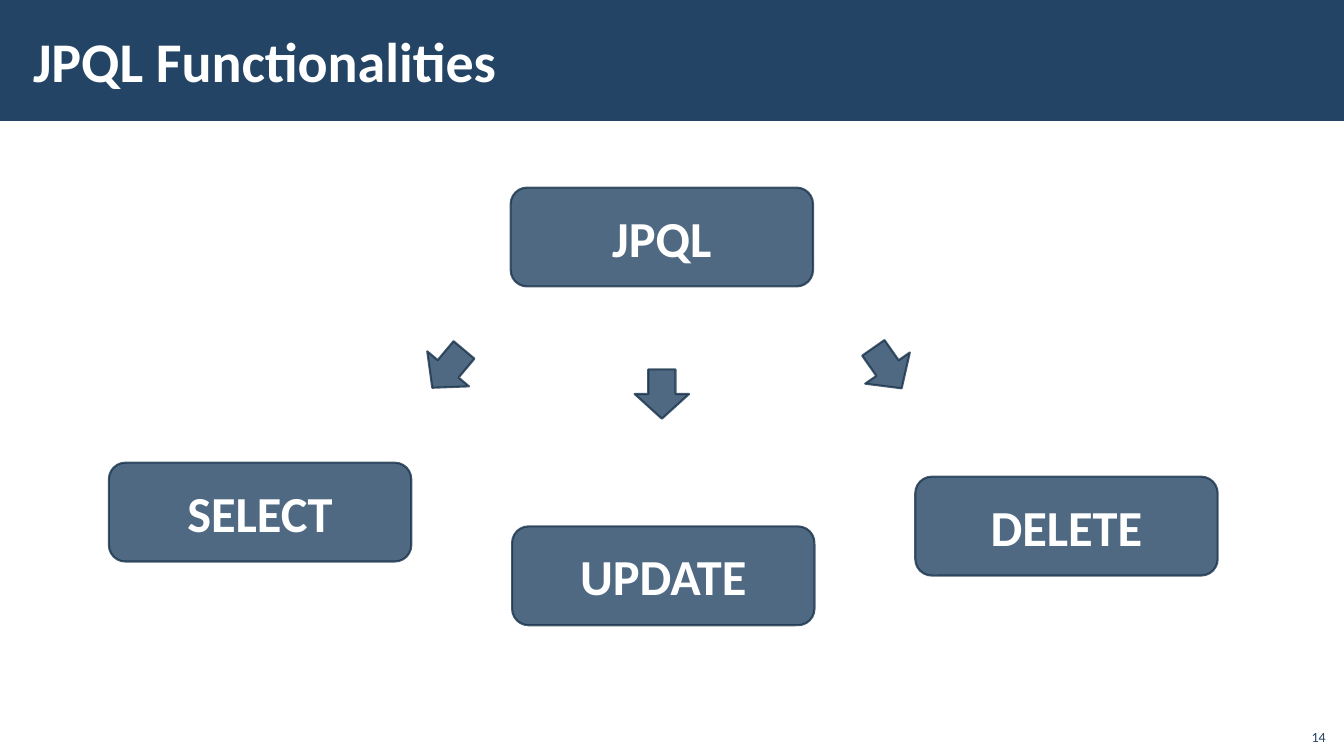
from lxml.etree import SubElement
from pptx import Presentation
from pptx.dml.color import RGBColor
from pptx.enum.shapes import MSO_SHAPE
from pptx.enum.text import MSO_ANCHOR, PP_ALIGN
from pptx.oxml.ns import qn
from pptx.util import Pt

COLORS = {"navy": "234465", "outline": "1A334C", "white": "FFFFFF"}
FONT = "Calibri"
SLIDE_W, SLIDE_H = 960, 540
BOX_W, BOX_H = 216, 70.6
ARROW_W, ARROW_H = 35.3, 38.9


def rgb(name):
    return RGBColor.from_string(COLORS[name])


def write(tf, text, size, color, bold=False, align=PP_ALIGN.LEFT, anchor=MSO_ANCHOR.MIDDLE):
    tf.word_wrap = True
    tf.vertical_anchor = anchor
    p = tf.paragraphs[0]
    p.alignment = align
    r = p.add_run()
    r.text = text
    r.font.name, r.font.size, r.font.bold = FONT, Pt(size), bold
    r.font.color.rgb = rgb(color)


def add_shape(s, kind, left, top, width, height):
    """Add a navy shape without shadow."""
    sp = s.shapes.add_shape(kind, Pt(left), Pt(top), Pt(width), Pt(height))
    sp.shadow.inherit = False
    sp.fill.solid()
    sp.fill.fore_color.rgb = rgb("navy")
    return sp


def add_glass_shape(s, kind, left, top, width, height):
    """Add an outlined shape whose fill and line are 80% opaque."""
    sp = add_shape(s, kind, left, top, width, height)
    sp.line.color.rgb = rgb("outline")
    sp.line.width = Pt(1.5)
    for clr in sp._element.spPr.iter(qn("a:srgbClr")):
        SubElement(clr, qn("a:alpha"), val="80000")
    return sp


def add_header(s, left, top, width, height, text):
    bar = add_shape(s, MSO_SHAPE.RECTANGLE, left, top, width, height)
    bar.line.fill.background()
    s.shapes._spTree.insert(2, bar._element)  # behind the title
    title = s.shapes.title
    title.left, title.top = Pt(left + 15), Pt(top + 8)
    title.width, title.height = Pt(765), Pt(70)
    tf = title.text_frame
    tf.margin_left = tf.margin_right = Pt(8.6)
    tf.margin_top = tf.margin_bottom = Pt(2.9)
    write(tf, text, 40, "white", bold=True)


def add_diagram(s, left, top):
    """Place the JPQL box, its three statements and the arrows to them."""
    boxes = [("JPQL", 287, 0), ("SELECT", 0, 196.5),
             ("UPDATE", 288, 242), ("DELETE", 576, 206.5)]
    for text, dx, dy in boxes:
        sp = add_glass_shape(s, MSO_SHAPE.ROUNDED_RECTANGLE, left + dx, top + dy, BOX_W, BOX_H)
        write(sp.text_frame, text, 36, "white", bold=True, align=PP_ALIGN.CENTER)
    arrows = [(224.6, 110, 130), (377.3, 128, 90), (538.5, 109.5, 55)]
    for dx, dy, angle in arrows:
        sp = add_glass_shape(s, MSO_SHAPE.RIGHT_ARROW, left + dx, top + dy, ARROW_W, ARROW_H)
        sp.rotation = angle


def add_page_number(s, left, top, width, height, number):
    box = s.shapes.add_textbox(Pt(left), Pt(top), Pt(width), Pt(height))
    write(box.text_frame, number, 10, "navy", align=PP_ALIGN.RIGHT, anchor=MSO_ANCHOR.BOTTOM)


def main():
    prs = Presentation()
    prs.slide_width, prs.slide_height = Pt(SLIDE_W), Pt(SLIDE_H)
    s = prs.slides.add_slide(prs.slide_layouts[5])
    add_header(s, 0, 0, SLIDE_W, 86.4, "JPQL Functionalities")
    add_diagram(s, 77.8, 134)
    add_page_number(s, 925, 512.6, 29, 23, "14")
    prs.save("out.pptx")


if __name__ == "__main__":
    main()
